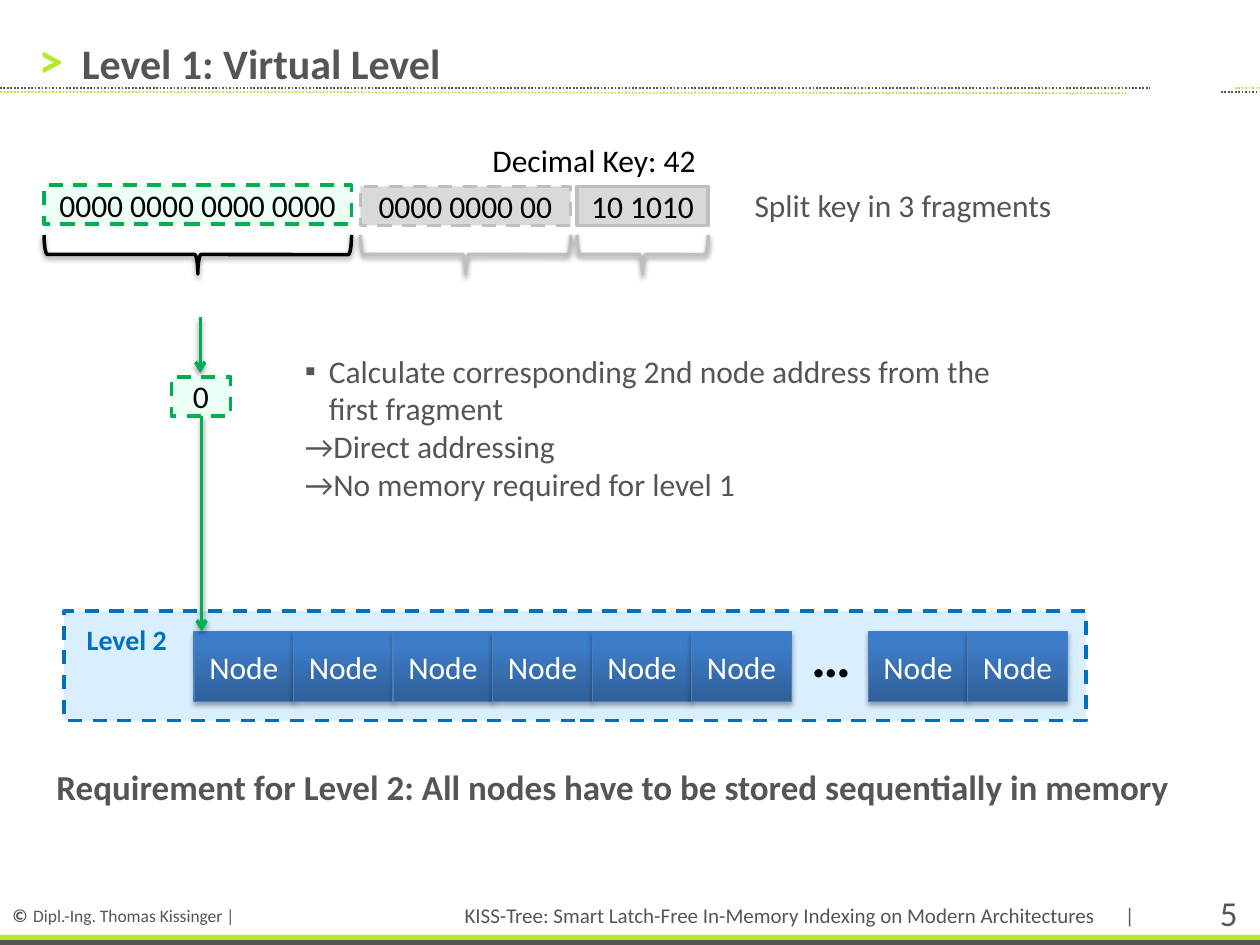
import dataclasses
import typing

import lxml.etree
import pptx
import pptx.dml.color
import pptx.enum.dml
import pptx.enum.shapes
import pptx.enum.text
import pptx.oxml.ns
import pptx.util

Inches = pptx.util.Inches
Pt = pptx.util.Pt
qn = pptx.oxml.ns.qn
Align = pptx.enum.text.PP_ALIGN
Anchor = pptx.enum.text.MSO_ANCHOR
Dash = pptx.enum.dml.MSO_LINE
Preset = pptx.enum.shapes.MSO_SHAPE

FONT = "Calibri"
COLORS = {
    "grey": "555555", "lime": "B2E928", "black": "000000", "white": "FFFFFF",
    "green": "00B050", "mint": "EBFFF4", "silver": "BFBFBF", "pale": "D9D9D9",
    "blue": "0070C0", "sky": "D9EFFF", "node_line": "4B7EBC",
    "node_dark": "2F5F99", "node_mid": "3D7CC7", "node_light": "3A7CCB",
}
NODE_GRADIENT = ((0, "node_dark"), (80, "node_mid"), (100, "node_light"))


@dataclasses.dataclass
class Box:
    left: float
    top: float
    width: float
    height: float

    def emu(self) -> tuple:
        return tuple(Inches(n) for n in (self.left, self.top, self.width, self.height))


@dataclasses.dataclass
class Run:
    text: str
    size: float
    color: str = "grey"
    bold: bool = False


@dataclasses.dataclass
class Label:
    box: Box
    runs: list
    align: typing.Any = Align.LEFT
    anchor: typing.Any = Anchor.TOP
    inset: float = 0.1


@dataclasses.dataclass
class Fragment:
    box: Box
    bits: str
    fill: str
    line: str
    brace_color: str
    dash: typing.Any = Dash.DASH


@dataclasses.dataclass
class Rule:
    start: tuple
    end: tuple
    color: str


def rgb(name: str) -> pptx.dml.color.RGBColor:
    return pptx.dml.color.RGBColor.from_string(COLORS[name])


def add_run(paragraph, run: Run) -> None:
    text_run = paragraph.add_run()
    text_run.text = run.text
    font = text_run.font
    font.name, font.size, font.bold = FONT, Pt(run.size), run.bold
    font.color.rgb = rgb(run.color)


def set_effects(shape, opacity: int = 0, distance: float = 1.6) -> None:
    effects = lxml.etree.SubElement(shape._element.spPr, qn("a:effectLst"))
    if opacity:
        shadow = lxml.etree.SubElement(
            effects, qn("a:outerShdw"), blurRad=str(Pt(3.1)), dist=str(Pt(distance)),
            dir="5400000", rotWithShape="0")
        color = lxml.etree.SubElement(shadow, qn("a:srgbClr"), val=COLORS["black"])
        lxml.etree.SubElement(color, qn("a:alpha"), val=str(opacity * 1000))


def set_line(shape, color: str, width: float, dash=None) -> None:
    shape.line.color.rgb = rgb(color)
    shape.line.width = Pt(width)
    if dash is not None:
        shape.line.dash_style = dash


def set_text(shape, runs: list, align, anchor, inset: float) -> None:
    frame = shape.text_frame
    frame.word_wrap, frame.vertical_anchor = True, anchor
    frame.margin_left = frame.margin_right = Inches(inset)
    frame.margin_top = frame.margin_bottom = Inches(inset / 2)
    frame.paragraphs[0].alignment = align
    for run in runs:
        add_run(frame.paragraphs[0], run)


def add_label(slide, label: Label) -> None:
    shape = slide.shapes.add_textbox(*label.box.emu())
    set_text(shape, label.runs, label.align, label.anchor, label.inset)


def add_block(slide, box: Box, fill: str, line: str = "", dash=None, text: str = "") -> None:
    shape = slide.shapes.add_shape(Preset.RECTANGLE, *box.emu())
    shape.fill.solid()
    shape.fill.fore_color.rgb = rgb(fill)
    if line:
        set_line(shape, line, 2, dash)
    else:
        shape.line.fill.background()
    set_effects(shape)
    if text:
        set_text(shape, [Run(text, 18, "black")], Align.CENTER, Anchor.MIDDLE, 0.05)


def add_node(slide, box: Box) -> None:
    shape = slide.shapes.add_shape(Preset.RECTANGLE, *box.emu())
    shape.fill.gradient()
    shape.fill.gradient_angle = 90
    stops = shape._element.spPr.find(".//" + qn("a:gsLst"))
    stops.clear()
    for position, color in NODE_GRADIENT:
        stop = lxml.etree.SubElement(stops, qn("a:gs"), pos=str(position * 1000))
        lxml.etree.SubElement(stop, qn("a:srgbClr"), val=COLORS[color])
    set_line(shape, "node_line", 0.75)
    set_effects(shape, 35, 1.8)
    set_text(shape, [Run("Node", 18, "white")], Align.CENTER, Anchor.MIDDLE, 0.05)


def add_brace(slide, fragment: Fragment) -> None:
    depth, span = 0.31, fragment.box.width
    center_x, center_y = fragment.box.left + span / 2, 2.02
    frame = Box(center_x - depth / 2, center_y - span / 2, depth, span)
    shape = slide.shapes.add_shape(Preset.RIGHT_BRACE, *frame.emu())
    shape.rotation = 90
    shape.fill.background()
    set_line(shape, fragment.brace_color, 2)
    set_effects(shape, 38)


def add_line(slide, rule: Rule, width: float, dash=None, arrow: bool = False) -> None:
    ends = [Inches(n) for n in rule.start + rule.end]
    line = slide.shapes.add_connector(pptx.enum.shapes.MSO_CONNECTOR.STRAIGHT, *ends)
    set_line(line, rule.color, width, dash)
    if arrow:
        lxml.etree.SubElement(line.line._get_or_add_ln(), qn("a:tailEnd"), type="arrow")
    set_effects(line, 38 if arrow else 0)


def place(placeholder, box: Box) -> None:
    placeholder.left, placeholder.top, placeholder.width, placeholder.height = box.emu()
    placeholder.text_frame.auto_size = pptx.enum.text.MSO_AUTO_SIZE.NONE


def fill_list(body, items: list) -> None:
    frame = body.text_frame
    frame.word_wrap = True
    for index, (bullet, text) in enumerate(items):
        paragraph = frame.paragraphs[0] if index == 0 else frame.add_paragraph()
        indent = Inches(0.19) if bullet else 0
        properties = paragraph._p.get_or_add_pPr()
        properties.set("marL", str(indent))
        properties.set("indent", str(-indent))
        if bullet:
            lxml.etree.SubElement(properties, qn("a:buChar"), char=bullet)
        else:
            lxml.etree.SubElement(properties, qn("a:buNone"))
        paragraph.space_before = Pt(0)
        add_run(paragraph, Run(text, 18))


def main() -> None:
    """Build the slide on the virtual first level of the tree."""
    deck = pptx.Presentation()
    deck.slide_width, deck.slide_height = Inches(10), Inches(7.5)
    slide = deck.slides.add_slide(deck.slide_layouts[1])
    title, body = slide.placeholders

    place(title, Box(0.55, 0.22, 5.63, 0.56))
    set_text(title, [Run("Level 1: Virtual Level", 24, bold=True)], Align.LEFT, Anchor.MIDDLE, 0.1)
    place(body, Box(2.32, 2.74, 6.06, 1.31))
    fill_list(body, [
        ("▪", "Calculate corresponding 2nd node address from the first fragment"),
        ("", "→Direct addressing"),
        ("", "→No memory required for level 1"),
    ])

    add_block(slide, Box(0, 7.46, 10, 0.04), "grey")
    add_block(slide, Box(0, 7.42, 10, 0.04), "lime")
    for rule in (Rule((9.69, 0.73), (9.99, 0.73), "grey"), Rule((9.8, 0.7), (10, 0.7), "lime"),
                 Rule((0, 0.7), (9.13, 0.7), "grey"), Rule((0, 0.73), (8.94, 0.74), "lime")):
        add_line(slide, rule, 1, Dash.ROUND_DOT)

    for fragment in (
        Fragment(Box(0.35, 1.47, 2.44, 0.31), "0000 0000 0000 0000", "mint", "green", "black"),
        Fragment(Box(2.86, 1.48, 1.67, 0.31), "0000 0000 00", "pale", "silver", "silver"),
        Fragment(Box(4.58, 1.48, 1.04, 0.31), "10 1010", "pale", "silver", "silver", None),
    ):
        add_block(slide, fragment.box, fragment.fill, fragment.line, fragment.dash, fragment.bits)
        add_brace(slide, fragment)

    add_block(slide, Box(0.51, 4.85, 8.11, 0.87), "sky", "blue", Dash.DASH)
    node_width = 0.79
    for first_left, count in ((1.54, 6), (6.89, 2)):
        for index in range(count):
            add_node(slide, Box(first_left + index * node_width, 5.01, node_width, 0.56))

    add_line(slide, Rule((1.59, 2.52), (1.59, 2.96), "green"), 2, arrow=True)
    add_block(slide, Box(1.36, 2.99, 0.47, 0.31), "mint", "green", Dash.DASH, "0")
    add_line(slide, Rule((1.6, 3.3), (1.6, 5.01), "green"), 2, arrow=True)

    requirement = "Requirement for Level 2: All nodes have to be stored sequentially in memory"
    talk = "KISS-Tree: Smart Latch-Free In-Memory Indexing on Modern Architectures "
    for label in (
        Label(Box(0, 7.08, 2.19, 0.34), [Run("©", 10.5, bold=True), Run(" ", 14),
                                         Run("Dipl.-Ing. Thomas Kissinger |", 10)]),
        Label(Box(2.97, 7.11, 5.86, 0.3), [Run(talk, 12)], Align.RIGHT, Anchor.MIDDLE),
        Label(Box(8.83, 7.11, 0.23, 0.31), [Run("|", 12)], Align.RIGHT),
        Label(Box(9.14, 7.03, 0.78, 0.44), [Run("5", 20)], Align.RIGHT),
        Label(Box(0.31, 0.23, 0.23, 0.47), [Run(">", 28, "lime", True)], anchor=Anchor.MIDDLE, inset=0),
        Label(Box(3.16, 1.07, 2.46, 0.4), [Run("Decimal Key: 42", 18, "black")], Align.RIGHT),
        Label(Box(5.89, 1.43, 3.53, 0.4), [Run("Split key in 3 fragments", 18)]),
        Label(Box(0.59, 4.89, 2.83, 0.37), [Run("Level 2", 16, "blue", True)]),
        Label(Box(6.34, 4.88, 0.63, 0.64), [Run("…", 32, "black", True)]),
        Label(Box(0.35, 6.03, 9.06, 0.44), [Run(requirement, 20, bold=True)]),
    ):
        add_label(slide, label)
    deck.save("out.pptx")


if __name__ == "__main__":
    main()
